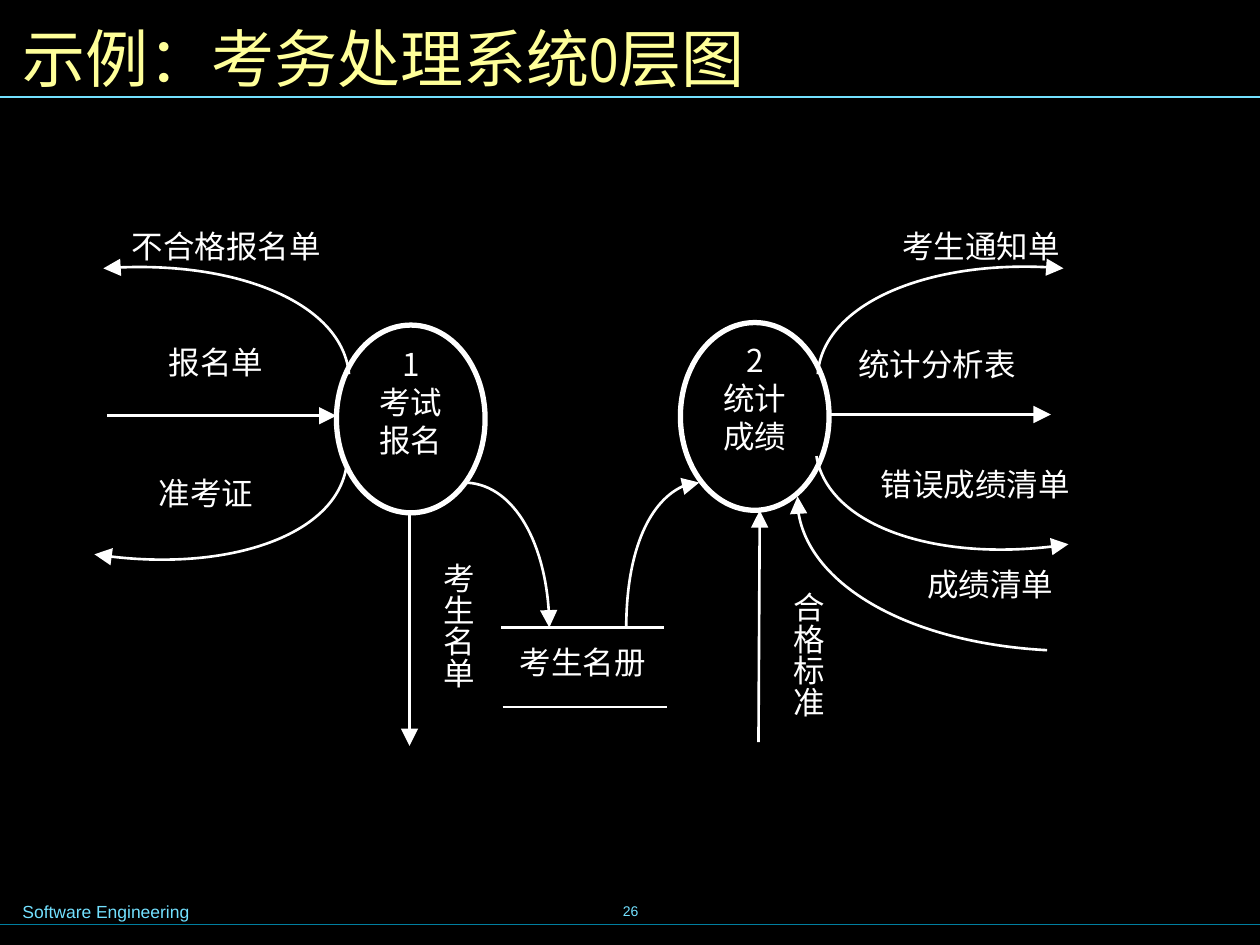
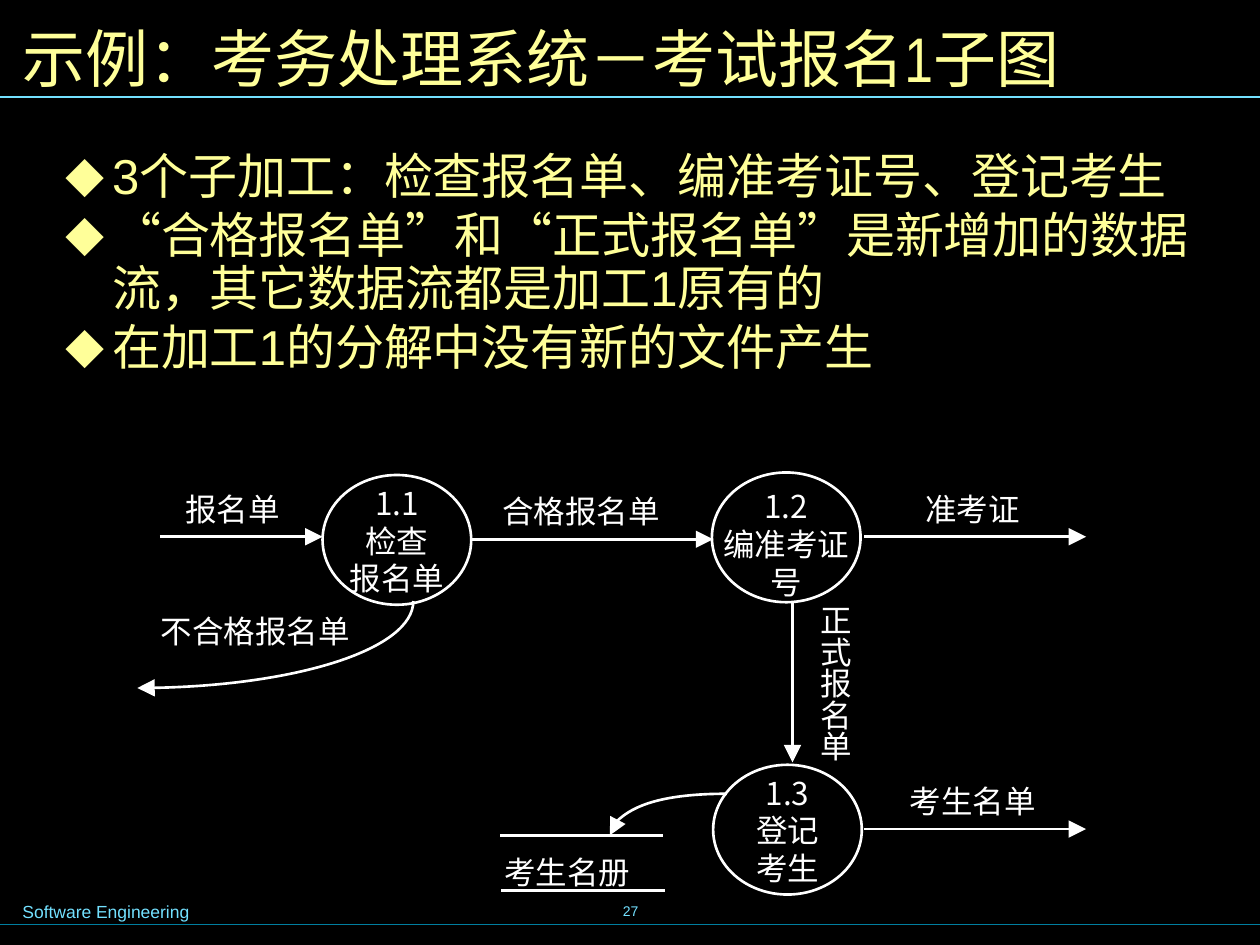
from dataclasses import dataclass

from lxml import etree
from pptx import Presentation
from pptx.dml.color import RGBColor
from pptx.enum.shapes import MSO_CONNECTOR, MSO_SHAPE
from pptx.enum.text import MSO_ANCHOR, PP_ALIGN
from pptx.oxml.ns import qn
from pptx.util import Inches, Pt

STRAIGHT = MSO_CONNECTOR.STRAIGHT
OVAL = MSO_SHAPE.OVAL
TOP, MIDDLE = MSO_ANCHOR.TOP, MSO_ANCHOR.MIDDLE
LEFT, CENTER, JUSTIFY = PP_ALIGN.LEFT, PP_ALIGN.CENTER, PP_ALIGN.JUSTIFY

BLACK, WHITE, YELLOW = "000000", "FFFFFF", "FFFF99"
SKY, TEAL = "73E1FF", "007E9F"
CJK_FONT = "Noto Sans CJK SC"
FLOW_WIDTH = 1.5
PROCESS_WIDTH = 1.18
PROCESS_LABEL_WIDTH = 1.35

Point = tuple[float, float]
Box = tuple[float, float, float, float]


@dataclass(frozen=True)
class TextStyle:
    font: str
    size: float
    color: str
    align: PP_ALIGN = LEFT
    anchor: MSO_ANCHOR = TOP
    wrap: bool = True
    insets: Box = (0.1, 0.05, 0.1, 0.05)
    line_spacing: float = 1.0
    space_before: float = 0
    bullet: str = ""
    vertical: bool = False


@dataclass(frozen=True)
class Label:
    text: str
    box: Box
    line_spacing: float = 1.0
    vertical: bool = False


@dataclass(frozen=True)
class Process:
    lines: tuple[str, ...]
    left: float
    top: float
    height: float
    outline: float
    label_offset: float
    top_inset: float = 0.05


@dataclass(frozen=True)
class Line:
    start: Point
    end: Point
    arrow: bool = True
    color: str = WHITE
    width: float = FLOW_WIDTH


@dataclass(frozen=True)
class Curve:
    start: Point
    first_control: Point
    second_control: Point
    end: Point


@dataclass(frozen=True)
class Diagram:
    processes: tuple[Process, ...]
    labels: tuple[Label, ...]
    lines: tuple[Line, ...]
    curves: tuple[Curve, ...]


TITLE = TextStyle("Arial Narrow", 36, YELLOW, anchor=MIDDLE)
NUMBER = TextStyle("Arial", 8, SKY, CENTER, MIDDLE, wrap=False)
FOOTER = TextStyle("Arial", 10, SKY)
BODY = TextStyle("Arial", 28, YELLOW, insets=(0.12, 0.06, 0.12, 0.06),
                 line_spacing=0.9, space_before=3.5, bullet="◆")
RULES = (
    Line((0, 7.34), (10, 7.34), False, TEAL, 0.75),
    Line((0, 0.77), (10, 0.77), False, SKY, 0.75),
)


def rgb(value: str) -> RGBColor:
    return RGBColor.from_string(value)


def set_values(target, values: dict) -> None:
    for name, value in values.items():
        setattr(target, name, value)


def add_bullet(paragraph, style: TextStyle) -> None:
    properties = paragraph._p.get_or_add_pPr()
    properties.set("marL", str(Inches(0.37)))
    properties.set("indent", str(-Inches(0.37)))
    bullet_color = etree.SubElement(properties, qn("a:buClr"))
    etree.SubElement(bullet_color, qn("a:srgbClr"), val=style.color)
    etree.SubElement(properties, qn("a:buSzPct"), val="80000")
    etree.SubElement(properties, qn("a:buFont"), typeface=CJK_FONT)
    etree.SubElement(properties, qn("a:buChar"), char=style.bullet)


def add_text(slide, lines: tuple[str, ...], box: Box, style: TextStyle) -> None:
    shape = slide.shapes.add_textbox(*map(Inches, box))
    frame = shape.text_frame
    left, top, right, bottom = map(Inches, style.insets)
    set_values(frame, {
        "word_wrap": style.wrap, "vertical_anchor": style.anchor,
        "margin_left": left, "margin_top": top,
        "margin_right": right, "margin_bottom": bottom,
    })
    if style.vertical:
        shape.element.xpath(".//a:bodyPr")[0].set("vert", "eaVert")
    for index, text in enumerate(lines):
        paragraph = frame.add_paragraph() if index else frame.paragraphs[0]
        if style.bullet:
            add_bullet(paragraph, style)
        set_values(paragraph, {
            "alignment": style.align, "line_spacing": style.line_spacing,
            "space_before": Pt(style.space_before if index else 0),
        })
        run = paragraph.add_run()
        run.text = text
        set_values(run.font, {"name": style.font, "size": Pt(style.size)})
        run.font.color.rgb = rgb(style.color)
        latin = run.font._element.find(qn("a:latin"))
        latin.addnext(etree.Element(qn("a:ea"), typeface=CJK_FONT))


def format_line(shape, color: str, width: float, arrow: bool) -> None:
    shape.line.color.rgb = rgb(color)
    shape.line.width = Pt(width)
    if arrow:
        outline = shape.element.xpath("./p:spPr/a:ln")[0]
        etree.SubElement(outline, qn("a:tailEnd"), type="triangle", w="lg", len="lg")


def add_line(slide, line: Line) -> None:
    connector = slide.shapes.add_connector(
        STRAIGHT, *map(Inches, line.start + line.end))
    format_line(connector, line.color, line.width, line.arrow)
    properties = connector.element.xpath("./p:spPr")[0]
    etree.SubElement(properties, qn("a:effectLst"))


def add_curve(slide, curve: Curve) -> None:
    builder = slide.shapes.build_freeform(*map(Inches, curve.start))
    points = (curve.first_control, curve.second_control, curve.end)
    builder.add_line_segments(
        [(Inches(x), Inches(y)) for x, y in points], close=False)
    shape = builder.convert_to_shape()
    segments = shape.element.xpath(".//a:lnTo")
    bezier = etree.Element(qn("a:cubicBezTo"))
    segments[0].addprevious(bezier)
    for segment in segments:
        bezier.append(segment[0])
        segment.getparent().remove(segment)
    shape.shadow.inherit = False
    shape.fill.background()
    format_line(shape, WHITE, FLOW_WIDTH, True)


def add_process(slide, process: Process) -> None:
    ellipse = slide.shapes.add_shape(OVAL, *map(Inches, (
        process.left, process.top, PROCESS_WIDTH, process.height)))
    ellipse.shadow.inherit = False
    ellipse.fill.background()
    format_line(ellipse, WHITE, process.outline, False)
    label_left = process.left - (PROCESS_LABEL_WIDTH - PROCESS_WIDTH) / 2
    box = (label_left, process.top + process.label_offset,
           PROCESS_LABEL_WIDTH, process.height - 0.1)
    style = TextStyle(CJK_FONT, 18, WHITE, CENTER,
                      insets=(0.1, process.top_inset, 0.1, 0.05))
    add_text(slide, process.lines, box, style)


def add_label(slide, label: Label) -> None:
    style = TextStyle(
        CJK_FONT, 18, WHITE, JUSTIFY if label.vertical else CENTER,
        insets=(0.05, 0.1, 0.05, 0.1) if label.vertical else (0.1, 0.05, 0.1, 0.05),
        line_spacing=label.line_spacing, vertical=label.vertical)
    add_text(slide, (label.text,), label.box, style)


def add_base_slide(presentation, title: str, number: int):
    slide = presentation.slides.add_slide(presentation.slide_layouts[6])
    slide.background.fill.solid()
    slide.background.fill.fore_color.rgb = rgb(BLACK)
    add_text(slide, (str(number),), (3.42, 6.98, 3.17, 0.5), NUMBER)
    for rule in RULES:
        add_line(slide, rule)
    add_text(slide, ("Software Engineering",), (0.08, 7.1, 2.95, 0.27), FOOTER)
    add_text(slide, (title,), (0.08, 0.08, 9.84, 0.75), TITLE)
    return slide


def add_diagram(slide, diagram: Diagram) -> None:
    for draw, elements in (
        (add_process, diagram.processes), (add_line, diagram.lines),
        (add_curve, diagram.curves), (add_label, diagram.labels),
    ):
        for element in elements:
            draw(slide, element)


LEVEL_ZERO = Diagram(
    processes=(
        Process(("1", "考试", "报名"), 2.67, 2.58, 1.49, 3, 0.11),
        Process(("2", "统计", "成绩"), 5.4, 2.56, 1.49, 3, 0.1),
    ),
    labels=(
        Label("考生名册", (3.96, 5.05, 1.33, 0.79)),
        Label("报名单", (1.06, 2.67, 1.31, 0.82)),
        Label("考生名单", (3, 4.37, 0.84, 1.48), vertical=True),
        Label("不合格报名单", (0.67, 1.75, 2.25, 0.81)),
        Label("准考证", (0.98, 3.71, 1.31, 0.82)),
        Label("统计分析表", (6.59, 2.69, 1.69, 0.81)),
        Label("合格标准", (5.77, 4.6, 0.84, 1.48), vertical=True),
        Label("考生通知单", (6.94, 1.75, 1.69, 0.82)),
        Label("错误成绩清单", (6.73, 3.74, 2.02, 0.68), 0.64),
        Label("成绩清单", (7.08, 4.53, 1.56, 0.68), 0.64),
    ),
    lines=(
        Line((3.98, 4.98), (5.27, 4.98), False),
        Line((3.99, 5.61), (5.29, 5.61), False),
        Line((0.85, 3.3), (2.67, 3.3)),
        Line((3.25, 4.08), (3.25, 5.92)),
        Line((6.56, 3.29), (8.34, 3.29)),
        Line((6.02, 5.89), (6.03, 4.05)),
    ),
    curves=(
        Curve((3.68, 3.83), (4.06, 3.83), (4.36, 4.34), (4.36, 4.98)),
        Curve((4.97, 4.99), (4.97, 4.35), (5.23, 3.83), (5.55, 3.83)),
        Curve((2.77, 2.97), (2.72, 2.42), (1.85, 2.05), (0.82, 2.13)),
        Curve((2.75, 3.7), (2.67, 4.24), (1.77, 4.56), (0.75, 4.4)),
        Curve((6.49, 2.97), (6.53, 2.42), (7.41, 2.04), (8.44, 2.13)),
        Curve((6.48, 3.62), (6.57, 4.16), (7.46, 4.48), (8.48, 4.32)),
        Curve((8.31, 5.16), (7.19, 5.1), (6.3, 4.56), (6.33, 3.94)),
    ),
)

REGISTRATION = Diagram(
    processes=(
        Process(("1.1", "检查", "报名单"), 2.56, 3.77, 1.03, 1.5, 0.07, 0),
        Process(("1.2", "编准考证号"), 5.65, 3.75, 1.03, 1.5, 0.07),
        Process(("1.3", "登记", "考生"), 5.66, 6.07, 1.03, 1.5, 0.07, 0),
    ),
    labels=(
        Label("考生名单", (6.88, 6.16, 1.68, 0.56)),
        Label("准考证", (6.88, 3.84, 1.68, 0.56)),
        Label("正式报名单", (6, 4.7, 0.83, 1.48), vertical=True),
        Label("合格报名单", (3.77, 3.86, 1.68, 0.56)),
        Label("报名单", (1.19, 3.84, 1.31, 0.57)),
        Label("不合格报名单", (1.04, 4.81, 1.97, 0.57)),
        Label("考生名册", (3.84, 6.72, 1.32, 0.55)),
    ),
    lines=(
        Line((6.86, 6.58), (8.62, 6.58)),
        Line((6.86, 4.26), (8.62, 4.26)),
        Line((6.29, 4.77), (6.29, 6.05)),
        Line((3.73, 4.28), (5.66, 4.28)),
        Line((1.27, 4.26), (2.56, 4.26)),
        Line((3.97, 6.63), (5.26, 6.63), False),
        Line((3.98, 7.07), (5.28, 7.07), False),
    ),
    curves=(
        Curve((3.28, 4.77), (3.28, 5.15), (2.3, 5.46), (1.09, 5.46)),
        Curve((5.77, 6.3), (5.26, 6.3), (4.84, 6.45), (4.84, 6.63)),
    ),
)

SUBPROCESS_NOTES = (
    "3个子加工：检查报名单、编准考证号、登记考生",
    "“合格报名单”和“正式报名单”是新增加的数据流，其它数据流都是加工1原有的",
    "在加工1的分解中没有新的文件产生",
)


def main() -> None:
    presentation = Presentation()
    set_values(presentation, {"slide_width": Inches(10), "slide_height": Inches(7.5)})
    slide = add_base_slide(presentation, "示例：考务处理系统0层图", 26)
    add_diagram(slide, LEVEL_ZERO)
    slide = add_base_slide(presentation, "示例：考务处理系统－考试报名1子图", 27)
    add_text(slide, SUBPROCESS_NOTES, (0.4, 1.15, 9.29, 1.97), BODY)
    add_diagram(slide, REGISTRATION)
    presentation.save("out.pptx")


if __name__ == "__main__":
    main()
